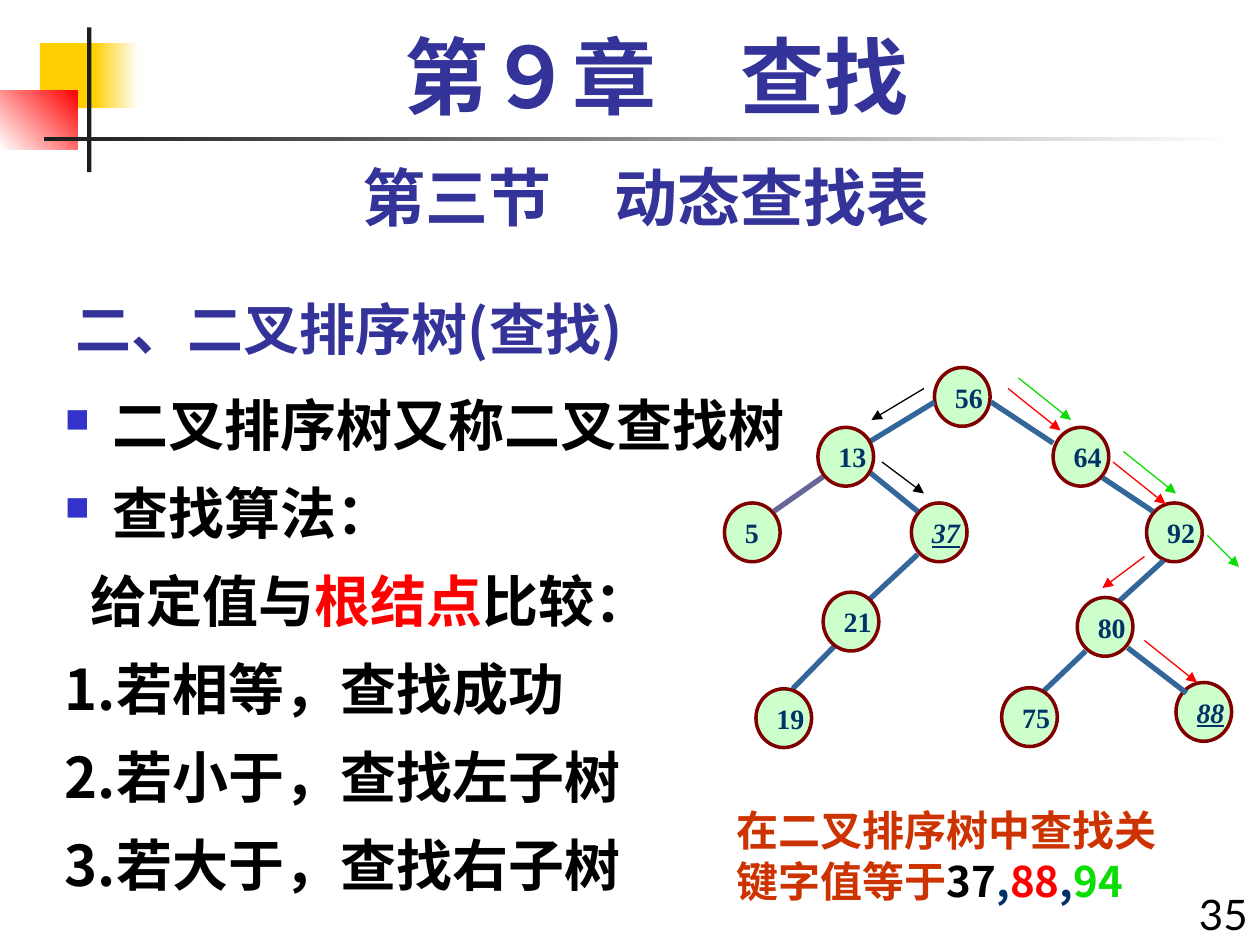
from lxml.etree import SubElement as Sub
from pptx import Presentation
from pptx.dml.color import RGBColor
from pptx.enum.shapes import MSO_CONNECTOR as Conn, MSO_SHAPE as Kind
from pptx.enum.text import MSO_ANCHOR as Anchor, PP_ALIGN as Align
from pptx.oxml.ns import qn
from pptx.util import Inches, Pt

COLS, ROWS = 120, 90
UNIT = Inches(10) / COLS
SANS, SERIF, LATIN = "Noto Sans CJK SC", "Times New Roman", "Lato"
BLUE, NAVY, RED, GREEN, BLACK = "333399", "003366", "FF0000", "0CDD07", "000000"
GOLD, DARK, WHITE, STEEL = "FFCF01", "1C1C1C", "FFFFFF", "336699"

DECOR = [
    (3.8, 4.1, 5.8, 6.2, GOLD, GOLD, 0),
    (8.9, 4.1, 4.3, 6.2, GOLD, WHITE, 0),
    (0, 8.6, 7.4, 5.6, WHITE, RED, 45),
    (8.3, 2.6, 0.4, 13.8, DARK, DARK, 0),
    (4.2, 13, 113.4, 0.4, DARK, WHITE, 0),
]
NODES = [
    ("56", 20, 0), ("64", 31.3, 5.7), ("5", 0, 12.9), ("92", 40.2, 12.9),
    ("37", 17.8, 12.9), ("88", 43, 30), ("19", 3, 30.6), ("80", 33.6, 21.9),
    ("21", 9.4, 21.4), ("13", 8.9, 5.7), ("75", 26.4, 30.5),
]
UNDER = 6
FOUND = ("37", "88")
EDGES = [
    (20, 3.3, 13.6, 7.2, STEEL), (9.4, 10.4, 4.7, 13.7, "666699"),
    (25.4, 3.3, 31.3, 7.2, STEEL), (13.6, 9.8, 18.4, 13.7, STEEL),
    (18.4, 17.8, 12.5, 23.3, STEEL), (36, 10.5, 40.8, 13.7, STEEL),
    (41.8, 18.4, 37.2, 22.6, STEEL), (38.4, 26.7, 44, 31, STEEL),
    (11.2, 25.8, 6.5, 30.6, STEEL), (34.4, 27, 30, 31.2, STEEL),
]
TRAILS = {
    BLACK: [(19, 2, 14, 5), (15, 9, 19, 12)],
    RED: [(27, 2, 32, 6), (37, 9, 42, 13), (40, 26, 45, 30), (40, 18, 36, 21)],
    GREEN: [(28, 1, 33, 5), (38, 8, 43, 12), (46, 16, 49, 19)],
}
POINTS = [
    (True, 0.38, [("二叉排序树又称二叉查找树", BLACK)]),
    (True, 0.38, [("查找算法：", BLACK)]),
    (False, 0.58, [("给定值与", BLACK), ("根结点", RED), ("比较：", BLACK)]),
    (False, 0.38, [("1.若相等，查找成功", BLACK)]),
    (False, 0.38, [("2.若小于，查找左子树", BLACK)]),
    (False, 0.38, [("3.若大于，查找右子树", BLACK)]),
]
NOTE = [("在二叉排序树中查找关键字值等于", "CC3300"), ("37", BLACK),
        (",", NAVY), ("88", RED), (",", NAVY), ("94", GREEN)]


def rgb(code):
    """Turn a hex string into a colour."""
    return RGBColor.from_string(code)


def grid(*vals):
    """Turn grid units into lengths."""
    return [round(val * UNIT) for val in vals]


def write(para, runs, size, face, bold=True, mark=False):
    """Add coloured runs to a paragraph."""
    for text, code in runs:
        run = para.add_run()
        run.text = text
        font = run.font
        font.size, font.bold = Pt(size), bold
        if mark:
            font.italic = font.underline = True
        font.color.rgb = rgb(code)
        font.name = face
        Sub(font._element, qn("a:ea")).set("typeface", SANS)


def label(slide, box, runs, size, face, lead=None, align=Align.LEFT,
          anchor=Anchor.TOP, bold=True):
    """Place one paragraph of text in a box."""
    frame = slide.shapes.add_textbox(*grid(*box)).text_frame
    frame.word_wrap = True
    frame.vertical_anchor = anchor
    para = frame.paragraphs[0]
    para.alignment = align
    if lead:
        para.line_spacing = Pt(lead)
    write(para, runs, size, face, bold)


def decor(slide, box):
    """Draw the coloured blocks and rules of the corner."""
    left, top = box
    for x, y, wide, high, start, end, angle in DECOR:
        block = slide.shapes.add_shape(
            Kind.RECTANGLE, *grid(left + x, top + y, wide, high))
        block.shadow.inherit = False
        block.line.fill.background()
        if start == end:
            block.fill.solid()
            block.fill.fore_color.rgb = rgb(start)
            continue
        block.fill.gradient()
        block.fill.gradient_angle = angle
        for stop, code, spot in zip(block.fill.gradient_stops, (start, end), (0, 1)):
            stop.color.rgb = rgb(code)
            stop.position = spot


def points(slide, box):
    """List the search steps."""
    frame = slide.shapes.add_textbox(*grid(*box)).text_frame
    frame.word_wrap = True
    for i, (dot, left, runs) in enumerate(POINTS):
        para = frame.add_paragraph() if i else frame.paragraphs[0]
        props = para._p.get_or_add_pPr()
        props.set("marL", str(Inches(left)))
        props.set("indent", str(-Inches(0.38)))
        if dot:
            Sub(Sub(props, qn("a:buClr")), qn("a:srgbClr")).set("val", "3333CC")
            Sub(props, qn("a:buSzPct")).set("val", "60000")
            Sub(props, qn("a:buChar")).set("char", "■")
        para.line_spacing = Pt(36)
        if i:
            para.space_before = Pt(14.3)
        write(para, runs, 32, SANS)


def link(shapes, ends, code, width, head=False):
    """Draw a line, with an arrowhead if asked."""
    line = shapes.add_connector(Conn.STRAIGHT, *grid(*ends))
    line.line.color.rgb = rgb(code)
    line.line.width = Pt(width)
    if head:
        Sub(line.line._get_or_add_ln(), qn("a:tailEnd")).set("type", "triangle")
    Sub(line._element.spPr, qn("a:effectLst"))


def node(shapes, text, x, y):
    """Draw one key of the tree."""
    ball = shapes.add_shape(Kind.OVAL, *grid(x, y, 5.3, 5.6))
    ball.shadow.inherit = False
    ball.fill.solid()
    ball.fill.fore_color.rgb = rgb("CCFFCC")
    ball.line.color.rgb = rgb("800000")
    ball.line.width = Pt(2)
    frame = ball.text_frame
    frame.word_wrap = False
    frame.vertical_anchor = Anchor.MIDDLE
    frame.paragraphs[0].alignment = Align.LEFT
    write(frame.paragraphs[0], [(text, NAVY)], 16, SERIF, mark=text in FOUND)


def tree(slide, box):
    """Draw the search tree and the trails through it."""
    left, top = box
    shapes = slide.shapes.add_group_shape().shapes

    def shift(x, y, p, q):
        """Move two ends into the box."""
        return left + x, top + y, left + p, top + q

    for text, x, y in NODES[:UNDER]:
        node(shapes, text, left + x, top + y)
    for *ends, code in EDGES:
        link(shapes, shift(*ends), code, 3)
    for text, x, y in NODES[UNDER:]:
        node(shapes, text, left + x, top + y)
    for code, steps in TRAILS.items():
        for ends in steps:
            link(slide.shapes, shift(*ends), code, 0.75, True)


def main():
    """Build the slide and save it."""
    deck = Presentation()
    deck.slide_width, deck.slide_height = grid(COLS, ROWS)
    slide = deck.slides.add_slide(deck.slide_layouts[6])
    decor(slide, (0, 0))
    label(slide, (6, 26, 75, 9), [("二、二叉排序树(查找)", BLUE)], 32, SANS,
          anchor=Anchor.BOTTOM)
    label(slide, (112, 84, 8, 6), [("35", BLACK)], 24, LATIN,
          align=Align.RIGHT, bold=False)
    label(slide, (6, 14, 111, 8.4), [("第三节　动态查找表", BLUE)], 36, LATIN,
          46, Align.CENTER)
    points(slide, (5, 37, 115, 53))
    label(slide, (8, 2, 109, 10), [("第９章　查找", BLUE)], 48, SERIF,
          56, Align.CENTER)
    label(slide, (69, 76, 46, 10.8), NOTE, 24, SANS, 29)
    tree(slide, (69, 35))
    deck.save("out.pptx")


if __name__ == "__main__":
    main()
